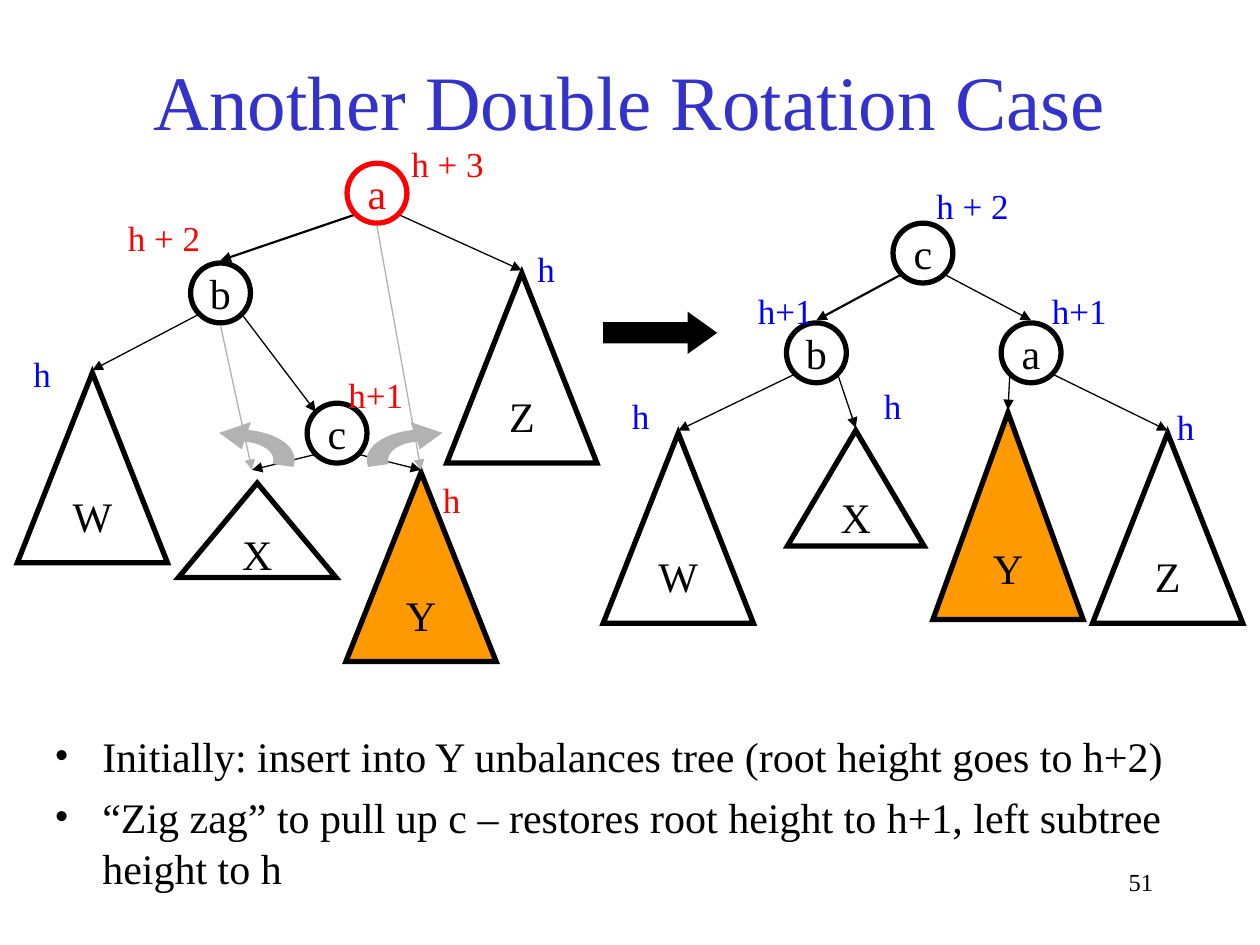
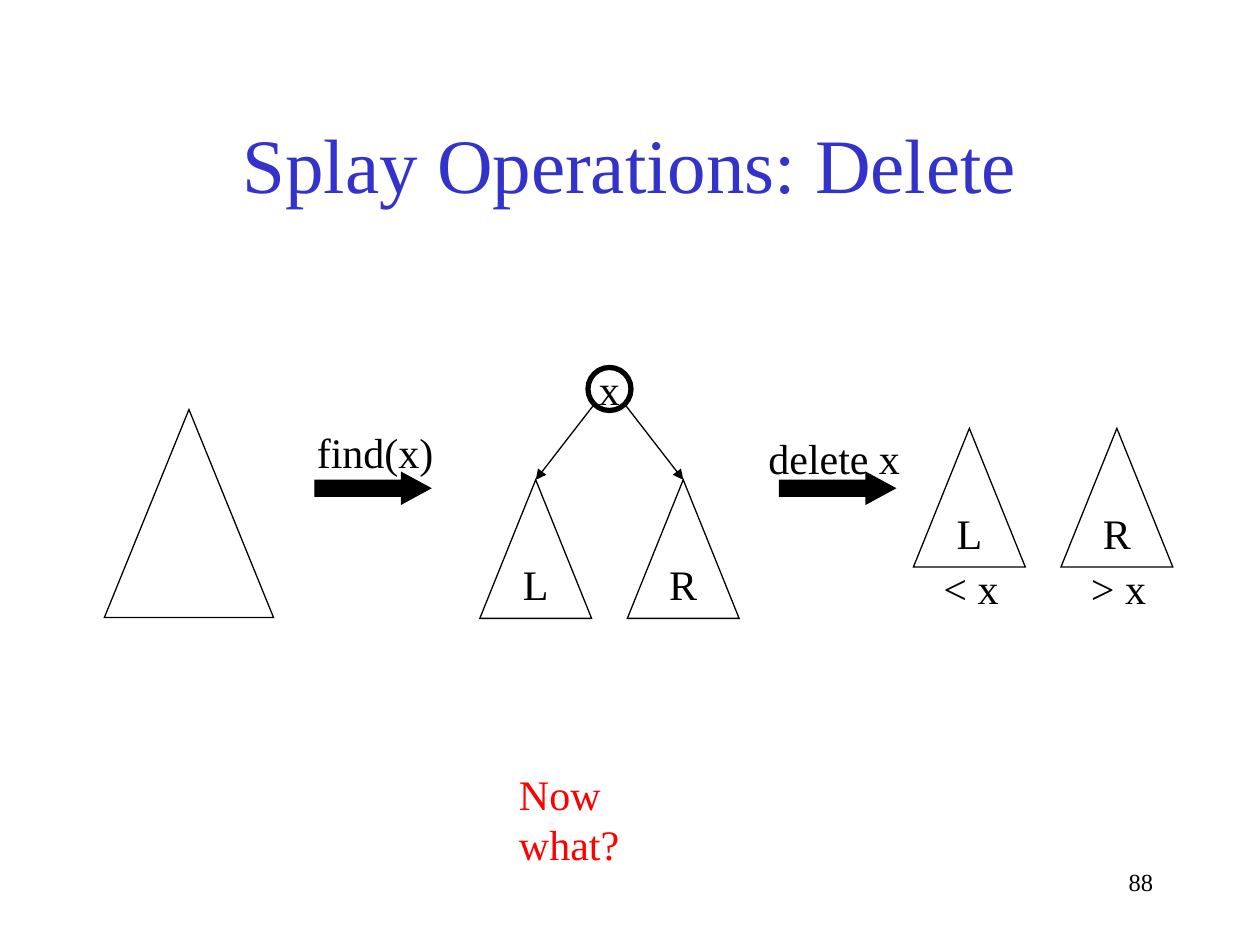
from dataclasses import dataclass
from typing import Any

from lxml import etree
from pptx import Presentation
from pptx import util as u
from pptx.dml.color import RGBColor
from pptx.enum import shapes, text
from pptx.oxml import ns

COLUMNS, ROWS = 120, 90
WIDTH, HEIGHT = u.Inches(10), u.Inches(7.5)
FONT = "Times New Roman"
BLACK, RED, BLUE = "000000", "FF0000", "0000FF"
TITLE_BLUE, ORANGE, GRAY = "3333CC", "FF9900", "B2B2B2"
NODE_SIZE, APEX_GAP = 5.7, 0.25
TREE_WIDTH, TREE_HEIGHT = 14.3, 18.1
HEIGHT_LABEL_WIDTHS = {1: 4.1, 3: 7.6, 5: 9.3}


@dataclass
class Region:
    """A part of a slide whose positions count grid cells from its corner."""
    slide: Any
    left: float = 0
    top: float = 0
    width: float = COLUMNS
    height: float = ROWS

    def point(self, column, row):
        """Return the slide position of a grid point in this region."""
        return (round((self.left + column) * WIDTH / COLUMNS),
                round((self.top + row) * HEIGHT / ROWS))

    def box(self, column, row, width, height):
        """Return left, top, width and height of a grid box."""
        return (*self.point(column, row),
                round(width * WIDTH / COLUMNS), round(height * HEIGHT / ROWS))


@dataclass
class Node:
    """The centre and size of a circle, with the places where edges meet it."""
    column: float
    row: float
    size: float = NODE_SIZE

    def corner(self, side, down=1):
        """Return the diagonal point on the outline."""
        reach = self.size / 2 * 0.71
        return self.column + side * reach, self.row + down * reach

    def middle(self, down):
        """Return the point just beyond the top or bottom of the outline."""
        return self.column, self.row + down * (self.size / 2 + APEX_GAP)


def color(value):
    """Turn a hex string into a colour."""
    return RGBColor.from_string(value)


def style_text(frame, size, ink, align):
    """Format every run of a text frame."""
    for paragraph in frame.paragraphs:
        paragraph.alignment = align
        for run in paragraph.runs:
            run.font.name = FONT
            run.font.size = u.Pt(size)
            run.font.color.rgb = color(ink)


def style_shape(shape, fill=None, line=BLACK, weight=0.75):
    """Set fill and a sharp-cornered outline and remove the shadow."""
    shape.shadow.inherit = False
    if fill:
        shape.fill.solid()
        shape.fill.fore_color.rgb = color(fill)
    else:
        shape.fill.background()
    shape.line.color.rgb = color(line)
    shape.line.width = u.Pt(weight)
    etree.SubElement(shape.line._get_or_add_ln(), ns.qn("a:miter"), lim="800000")


def add_text(region, words, box, size=24, ink=BLACK,
             align=text.PP_ALIGN.LEFT, wrap=False):
    """Add a text box, which grows unless it wraps, and return its frame."""
    frame = region.slide.shapes.add_textbox(*region.box(*box)).text_frame
    frame.word_wrap = wrap
    if not wrap:
        frame.auto_size = text.MSO_AUTO_SIZE.SHAPE_TO_FIT_TEXT
    frame.text = words
    style_text(frame, size, ink, align)
    return frame


def add_figure(region, kind, box, words="", fill=None, ink=BLACK, weight=3):
    """Add a preset shape with centred text."""
    shape = region.slide.shapes.add_shape(kind, *region.box(*box))
    style_shape(shape, fill, ink, weight)
    if words:
        frame = shape.text_frame
        frame.word_wrap = False
        frame.vertical_anchor = text.MSO_ANCHOR.MIDDLE
        frame.text = words
        style_text(frame, 24, ink, text.PP_ALIGN.CENTER)
    return shape


def add_node(region, name, node, ink=BLACK):
    """Draw a tree node as a circle."""
    half = node.size / 2
    add_figure(region, shapes.MSO_SHAPE.OVAL,
               (node.column - half, node.row - half, node.size, node.size),
               name, ink=ink)


def add_subtree(region, name, apex, width=TREE_WIDTH, height=TREE_HEIGHT,
                fill=None, weight=3):
    """Draw a subtree as a triangle hanging from its apex."""
    column, row = apex
    add_figure(region, shapes.MSO_SHAPE.ISOSCELES_TRIANGLE,
               (column - width / 2, row, width, height), name, fill, weight=weight)


def add_edge(region, start, end, ink=BLACK, weight=0.75):
    """Draw a line with an arrowhead at its end."""
    edge = region.slide.shapes.add_connector(
        shapes.MSO_CONNECTOR.STRAIGHT, *region.point(*start), *region.point(*end))
    edge.line.color.rgb = color(ink)
    edge.line.width = u.Pt(weight)
    etree.SubElement(edge.line._get_or_add_ln(), ns.qn("a:tailEnd"), type="triangle")
    etree.SubElement(edge._element.spPr, ns.qn("a:effectLst"))


def add_block_arrow(region, box, head):
    """Draw a solid arrow that leads to the next state."""
    arrow = add_figure(region, shapes.MSO_SHAPE.RIGHT_ARROW, box,
                       fill=BLACK, weight=0.75)
    arrow.adjustments[1] = head


def above(apex):
    """Return the point where an edge stops over a subtree."""
    return apex[0], apex[1] - APEX_GAP


def add_height_labels(region, labels):
    """Write the subtree heights beside the nodes."""
    for words, column, row, ink in labels:
        add_text(region, words,
                 (column, row, HEIGHT_LABEL_WIDTHS[len(words)], 5.3), 20, ink)


def curve(start, first, second, end, steps=12):
    """Return points along a cubic curve, without its start."""
    points = []
    for step in range(1, steps + 1):
        t = step / steps
        weights = ((1 - t) ** 3, 3 * t * (1 - t) ** 2, 3 * t * t * (1 - t), t ** 3)
        points.append(tuple(
            sum(weight * point[axis] for weight, point
                in zip(weights, (start, first, second, end))) for axis in (0, 1)))
    return points


def add_turn_arrow(region, mirrored=False):
    """Draw a curved arrow that fills the region's width."""
    outline = [(4.8, 1.7), *curve((4.8, 1.7), (3.1, 1.8), (1.9, 2.6), (1.9, 3.5)),
               (1.95, 3.85), (0.1, 4.1),
               *curve((0.1, 4.1), (-0.5, 2.5), (1.4, 1), (4.45, 0.7)),
               (4.2, 0), (7, 0.95), (5, 2.4)]
    points = [region.point(region.width - column if mirrored else column, row)
              for column, row in outline]
    builder = region.slide.shapes.build_freeform(*points[0], scale=1.0)
    builder.add_line_segments(points[1:], close=True)
    style_shape(builder.convert_to_shape(), GRAY, GRAY)


def add_frame(presentation, title, title_row, number):
    """Add a blank slide with title and number, and return its region."""
    region = Region(presentation.slides.add_slide(presentation.slide_layouts[6]))
    add_text(region, number, (86, 82, 25, 6), 14,
             align=text.PP_ALIGN.RIGHT, wrap=True)
    frame = add_text(region, title, (9, title_row, 102, 15), 44, TITLE_BLUE,
                     text.PP_ALIGN.CENTER, True)
    frame.vertical_anchor = text.MSO_ANCHOR.MIDDLE
    return region


def add_bullets(region, lines):
    """Fill the region with a bulleted list."""
    frame = add_text(region, "\n".join(lines),
                     (0, 0, region.width, region.height), wrap=True)
    for index, paragraph in enumerate(frame.paragraphs):
        properties = paragraph._p.get_or_add_pPr()
        properties.set("marL", str(u.Inches(0.38)))
        properties.set("indent", str(-u.Inches(0.38)))
        etree.SubElement(properties, ns.qn("a:buFont"), typeface=FONT)
        etree.SubElement(properties, ns.qn("a:buChar"), char="•")
        if index:
            paragraph.space_before = u.Pt(6)


def unbalanced_tree(region):
    """Draw the tree before the double rotation."""
    a, b, c = Node(35.9, 6.4), Node(21, 15.9), Node(32.1, 29.25)
    w, x, y, z = (8.8, 23.5), (24.5, 34), (40.1, 33), (49.7, 14)
    x_target = (24, 32.75)
    add_edge(region, a.corner(-1), b.middle(-1), weight=1.25)
    for start, end in ((a.corner(1), above(z)), (b.corner(1), c.corner(-1, -1)),
                       (b.corner(-1), above(w)), (c.corner(-1), x_target),
                       (c.corner(1), above(y))):
        add_edge(region, start, end)
    for name, node, ink in (("a", a, RED), ("b", b, BLACK), ("c", c, BLACK)):
        add_node(region, name, node, ink)
    add_subtree(region, "Z", z)
    add_subtree(region, "W", w)
    add_subtree(region, "Y", y, height=18, fill=ORANGE)
    add_height_labels(region, (
        ("h+1", 32, 23, RED), ("h", 41, 33, RED), ("h", 2, 21, BLUE),
        ("h", 50, 11, BLUE), ("h + 3", 38, 1, RED), ("h + 2", 11, 8, RED)))
    add_edge(region, b.middle(1), x_target, GRAY)
    add_edge(region, a.middle(1), above(y), GRAY)
    for column, mirrored in ((35, False), (21, True)):
        add_turn_arrow(Region(region.slide, region.left + column,
                              region.top + 28.3, 7, 4), mirrored)
    add_subtree(region, "X", x, 15, 9)


def balanced_tree(region):
    """Draw the tree after the double rotation."""
    a, b, c = Node(41.2, 21.6), Node(20.75, 21.6), Node(30.9, 12.1)
    w, x, y, z = (7.6, 29.25), (24.5, 29), (39, 27.3), (54.2, 29.25)
    add_edge(region, c.corner(-1), b.middle(-1), weight=1.25)
    for start, end in ((c.corner(1), a.middle(-1)), (a.corner(1), above(z)),
                       (a.corner(-1), above(y)), (b.corner(1), above(x)),
                       (b.corner(-1), above(w))):
        add_edge(region, start, end)
    for name, node in (("a", a), ("b", b), ("c", c)):
        add_node(region, name, node)
    add_subtree(region, "Z", z)
    add_subtree(region, "W", w)
    add_subtree(region, "Y", y, height=19.7, fill=ORANGE)
    add_height_labels(region, (
        ("h", 53.9, 26, BLUE), ("h", 2, 25, BLUE), ("h+1", 42, 15, BLUE),
        ("h + 2", 31, 5, BLUE), ("h+1", 14, 15, BLUE), ("h", 26, 24, BLUE)))
    add_subtree(region, "X", x, 13, 11)


def subtree_pair(region):
    """Draw the L and R subtrees side by side and return their apexes."""
    width = 10.65
    apexes = (width / 2, 0), (region.width - width / 2, 0)
    for name, apex in zip("LR", apexes):
        add_subtree(region, name, apex, width, region.height, weight=0.75)
    return apexes


def rotation_slide(presentation):
    """Build the slide on the double rotation."""
    page = add_frame(presentation, "Another Double Rotation Case", 2, "51")
    add_bullets(Region(page.slide, 4, 69, 111, 15), (
        "Initially: insert into Y unbalances tree (root height goes to h+2)",
        "“Zig zag” to pull up c – restores root height to h+1, left subtree height to h"))
    unbalanced_tree(Region(page.slide, 0, 12, 57, 52))
    add_block_arrow(page, (57.5, 29.8, 10.7, 3.8), 0.7)
    balanced_tree(Region(page.slide, 57, 12, 63, 52))


def delete_slide(presentation):
    """Build the slide on deleting from a splay tree."""
    page = add_frame(presentation, "Splay Operations: Delete", 8, "88")
    add_subtree(page, "", (18, 39), 16.1, 19.8, weight=0.75)
    for arrow_column, words, column, row, width in (
            (30, "find(x)", 29, 40, 13.5), (74.25, "delete x", 72, 40.6, 15)):
        add_block_arrow(page, (arrow_column, 45, 11, 3), 0.92)
        add_text(page, words, (column, row, width, 6))

    joined = Region(page.slide, 45.7, 45.7, 24.7, 13.2)
    root = Node(joined.width / 2, -8.65, 4.1)
    for side, apex in zip((-1, 1), subtree_pair(joined)):
        add_edge(joined, root.corner(side), apex)
    add_node(joined, "x", root)

    parted = Region(page.slide, 87, 40.8, 24.7, 13.2)
    for words, apex in zip(("< x", "> x"), subtree_pair(parted)):
        add_text(parted, words, (apex[0] - 3.65, 12.2, 7.7, 6))
    add_text(page, "Now what?", (48.25, 72.6, 20.6, 6), ink=RED)


def main():
    """Build and save the presentation."""
    presentation = Presentation()
    presentation.slide_width, presentation.slide_height = WIDTH, HEIGHT
    rotation_slide(presentation)
    delete_slide(presentation)
    presentation.save("out.pptx")


if __name__ == "__main__":
    main()
